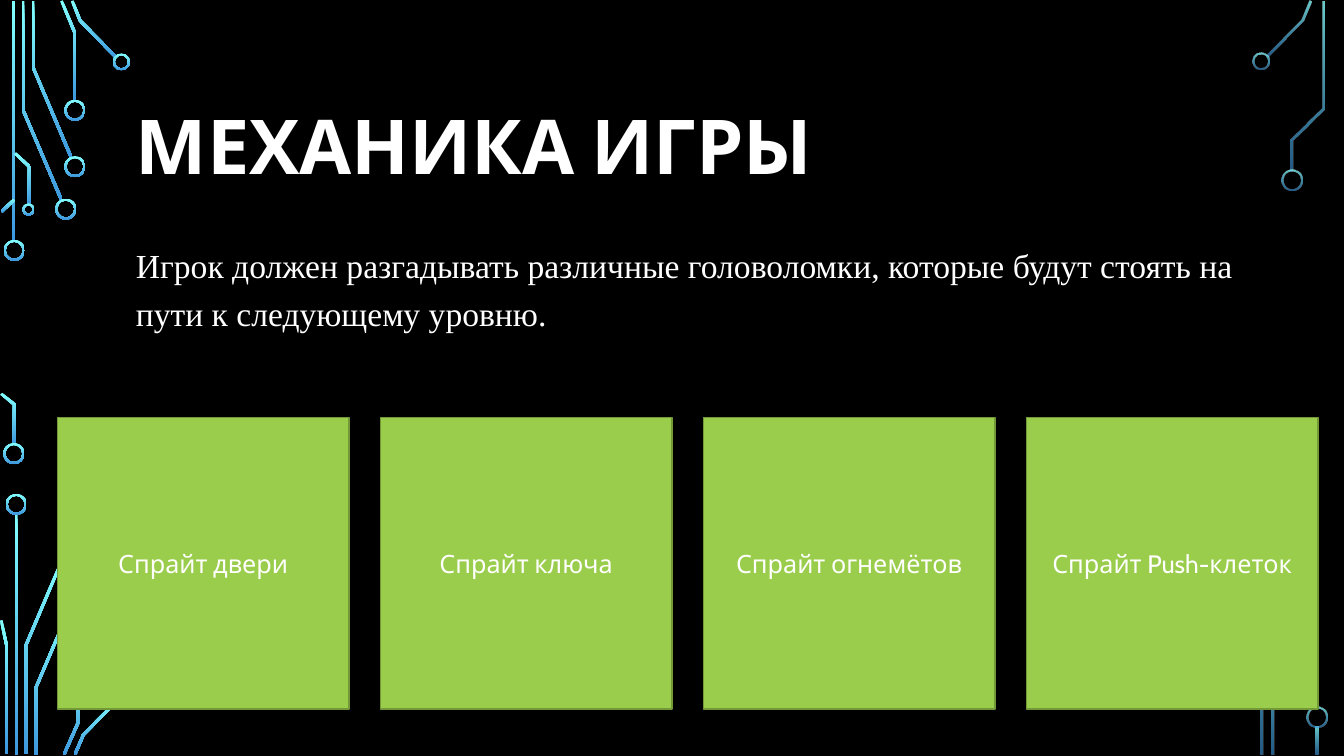
from math import hypot

from lxml import etree
from pptx import Presentation
from pptx.dml.color import RGBColor
from pptx.enum.shapes import MSO_SHAPE
from pptx.enum.text import MSO_ANCHOR, MSO_AUTO_SIZE, PP_ALIGN
from pptx.oxml.ns import qn
from pptx.util import Cm, Pt

RECT, DONUT = MSO_SHAPE.RECTANGLE, MSO_SHAPE.DONUT
LEFT, CENTER = PP_ALIGN.LEFT, PP_ALIGN.CENTER
TOP, MIDDLE = MSO_ANCHOR.TOP, MSO_ANCHOR.MIDDLE
NO_FIT = MSO_AUTO_SIZE.NONE

OPAQUE, DIMMED = (100, 100), (80, 60)  # opacity at top and bottom, percent

# Circuit traces as centre lines, in cm
LEFT_TRACES = [
    [(.34, .03), (.34, 6.1)],
    [(.58, .03), (.58, 2.77), (1.55, 5.04)],
    [(.83, .03), (.83, 1.69), (1.8, 3.98)],
    [(1.55, .02), (1.89, .84), (1.89, 2.54)],
    [(1.82, .02), (2.02, .52), (2.93, 1.45)],
    [(.04, 5.33), (.36, 5.03)],
    [(.03, 9.92), (.36, 10.19), (.36, 11.2)],
    [(.38, 3.86), (.74, 4.2), (.74, 5.16)],
    [(.41, 12.95), (.41, 19.02)],
    [(.65, 19), (.65, 16.27), (1.61, 14.01)],
    [(.17, 19), (.17, 16.28), (.03, 15.63)],
    [(.9, 19.02), (.9, 17.34), (1.87, 15.07)],
    [(1.61, 19.02), (1.97, 18.21), (1.97, 16.51)],
    [(1.89, 19.01), (2.1, 18.52), (3, 17.6)],
]
RIGHT_TRACES = [
    [(33.03, .02), (32.83, .5), (31.93, 1.41)],
    [(33.34, .03), (33.34, 2.73), (32.56, 3.52), (32.56, 4.3)],
    [(32.07, 19.02), (32.07, 17.61), (32.84, 15.84)],
    [(31.81, 19.02), (31.81, 15.58), (32.6, 14.82), (32.6, 14.02)],
    [(33.2, 18.31), (33.2, 19.02)],
]
# Ring nodes: centre x, centre y, diameter, in cm
LEFT_RINGS = [(.36, 6.31, .53), (.35, 11.43, .53), (1.66, 5.27, .53),
              (1.89, 4.2, .53), (1.89, 2.78, .53), (3.06, 1.56, .43),
              (.72, 5.28, .31), (.41, 12.71, .53)]
RIGHT_RINGS = [(31.79, 1.54, .43), (32.57, 4.53, .53), (33.18, 18.08, .53)]


def rgb(value):
    return RGBColor.from_string(value)


def put_text(tf, text, *, font, size, color, bold=False, align=LEFT,
             anchor=MIDDLE, spacing=1.0, before=0):
    tf.word_wrap, tf.auto_size, tf.vertical_anchor = True, NO_FIT, anchor
    p = tf.paragraphs[0]
    p.alignment, p.line_spacing, p.space_before = align, spacing, Pt(before)
    r = p.add_run()
    r.text = text
    r.font.name, r.font.size, r.font.bold = font, Pt(size), bold
    r.font.color.rgb = rgb(color)
    return p


def ribbon(points, width):
    """Outline of a polyline drawn with the given width and mitred corners."""
    normals = []
    for (x1, y1), (x2, y2) in zip(points, points[1:]):
        length = hypot(x2 - x1, y2 - y1)
        normals.append(((y1 - y2) / length, (x2 - x1) / length))
    one_side, other_side = [], []
    for (x, y), a, b in zip(points, normals[:1] + normals, normals + normals[-1:]):
        k = width / 2 / (1 + a[0] * b[0] + a[1] * b[1])
        dx, dy = (a[0] + b[0]) * k, (a[1] + b[1]) * k
        one_side.append((x + dx, y + dy))
        other_side.append((x - dx, y - dy))
    return one_side + other_side[::-1]


class Deck:
    font = "Cabin"
    body_font = "Times New Roman"
    background, white = "000000", "FFFFFF"
    glow = ("82FFFF", "3D97DE")
    tile_fill, tile_line = "9ACD4C", "729838"
    trace_width, ring_width = .07, .05

    def __init__(self, prs):
        self.s = prs.slides.add_slide(prs.slide_layouts[1])
        fill = self.s.background.fill
        fill.solid()
        fill.fore_color.rgb = rgb(self.background)

    def glow_fill(self, sp, opacity):
        sp.shadow.inherit = False
        sp.line.fill.background()
        sp.fill.gradient()
        sp.fill.gradient_angle = 270
        for i, stop in enumerate(sp.fill.gradient_stops):
            stop.position = i
            stop.color.rgb = rgb(self.glow[i])
        if opacity != OPAQUE:
            for clr, percent in zip(sp._element.spPr.iter(qn("a:srgbClr")), opacity):
                etree.SubElement(clr, qn("a:alpha"), val=str(percent * 1000))

    def trace(self, points, opacity):
        outline = [(Cm(x), Cm(y)) for x, y in ribbon(points, self.trace_width)]
        builder = self.s.shapes.build_freeform(*outline[0])
        builder.add_line_segments(outline[1:], close=True)
        self.glow_fill(builder.convert_to_shape(), opacity)

    def ring(self, x, y, d, opacity):
        sp = self.s.shapes.add_shape(DONUT, Cm(x - d / 2), Cm(y - d / 2), Cm(d), Cm(d))
        sp.adjustments[0] = self.ring_width / d
        self.glow_fill(sp, opacity)

    def place(self, sp, x, y, w, h):
        sp.left, sp.top, sp.width, sp.height = Cm(x), Cm(y), Cm(w), Cm(h)

    def title(self, text, *box):
        sp = self.s.shapes.title
        self.place(sp, *box)
        put_text(sp.text_frame, text, font=self.font, size=54, color=self.white,
                 bold=True, spacing=.9)

    def body(self, text, *box):
        sp = self.s.placeholders[1]
        self.place(sp, *box)
        p = put_text(sp.text_frame, text, font=self.body_font, size=24,
                     color=self.white, anchor=TOP, spacing=1.2, before=10)
        pPr = p._p.get_or_add_pPr()
        pPr.set("marL", "0")
        pPr.set("indent", "0")
        etree.SubElement(pPr, qn("a:buNone"))

    def tile(self, text, x, y, size):
        sp = self.s.shapes.add_shape(RECT, Cm(x), Cm(y), Cm(size), Cm(size))
        sp.shadow.inherit = False
        sp.fill.solid()
        sp.fill.fore_color.rgb = rgb(self.tile_fill)
        sp.line.color.rgb = rgb(self.tile_line)
        sp.line.width = Pt(1.25)
        put_text(sp.text_frame, text, font=self.font, size=18, color=self.white,
                 align=CENTER)


prs = Presentation()
prs.slide_width, prs.slide_height = Cm(33.87), Cm(19.05)
deck = Deck(prs)

# Circuit decoration at both edges
for traces, rings, opacity in ((LEFT_TRACES, LEFT_RINGS, OPAQUE),
                               (RIGHT_TRACES, RIGHT_RINGS, DIMMED)):
    for points in traces:
        deck.trace(points, opacity)
    for ring in rings:
        deck.ring(*ring, opacity)

# Title and description
deck.title("МЕХАНИКА ИГРЫ", 3.17, 1.73, 27.5, 4.1)
deck.body("Игрок должен разгадывать различные головоломки, которые будут стоять "
          "на пути к следующему уровню.", 3.17, 5.83, 30.02, 2.95)

# Row of sprite tiles
SPRITES = ["Спрайт двери", "Спрайт ключа", "Спрайт огнемётов", "Спрайт Push-клеток"]
for i, name in enumerate(SPRITES):
    deck.tile(name, 1.45 + 8.14 * i, 10.52, 7.34)

prs.save("out.pptx")
